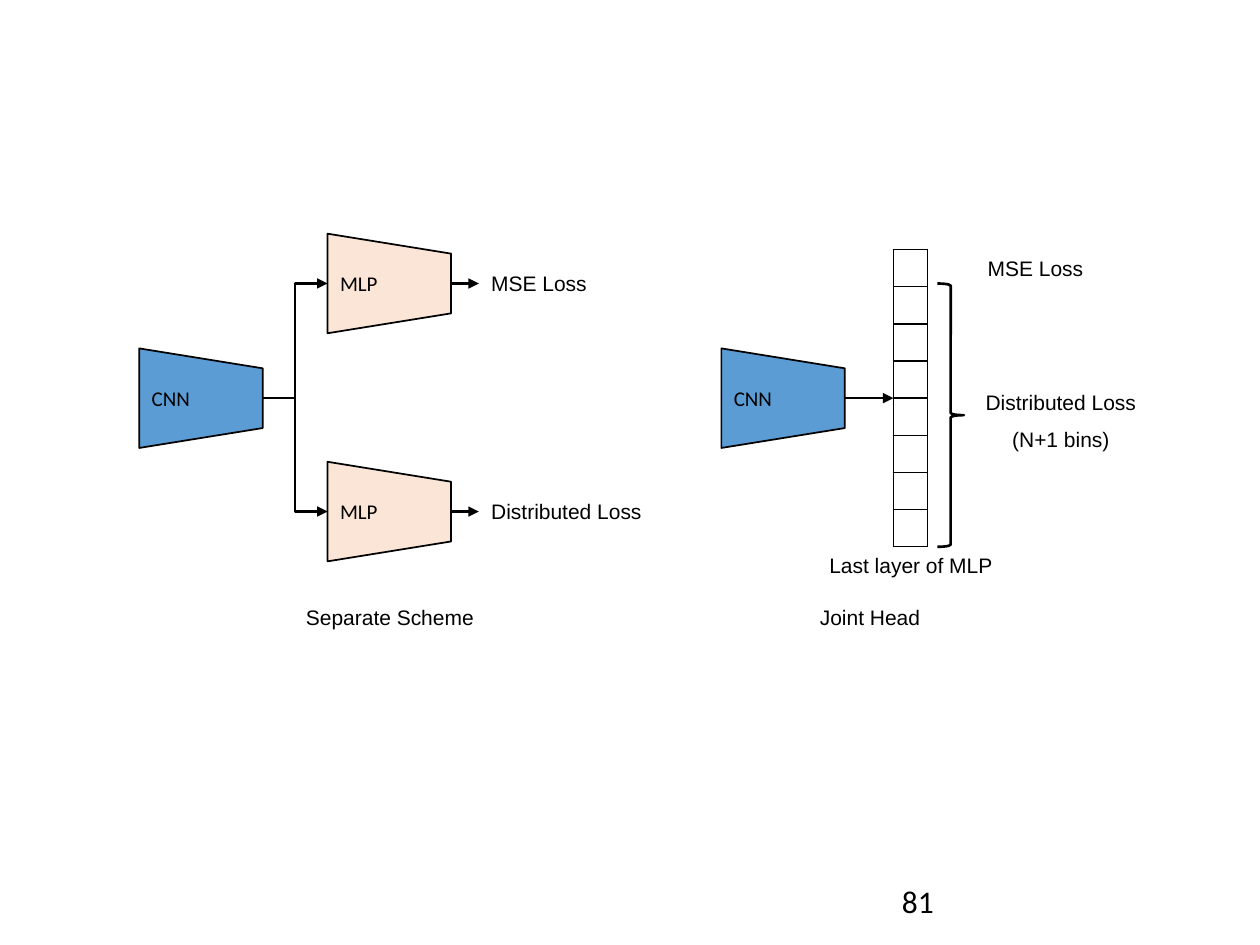
from lxml import etree
from pptx import Presentation
from pptx.dml.color import RGBColor
from pptx.enum.shapes import MSO_CONNECTOR, MSO_SHAPE
from pptx.enum.text import MSO_ANCHOR, MSO_AUTO_SIZE, PP_ALIGN
from pptx.oxml.ns import qn
from pptx.util import Inches, Pt

LEFT, CENTER = PP_ALIGN.LEFT, PP_ALIGN.CENTER
MIDDLE = MSO_ANCHOR.MIDDLE
FIT_TEXT = MSO_AUTO_SIZE.SHAPE_TO_FIT_TEXT
TRAPEZOID, BRACE = MSO_SHAPE.FLOWCHART_MANUAL_OPERATION, MSO_SHAPE.RIGHT_BRACE
STRAIGHT, ELBOW = MSO_CONNECTOR.STRAIGHT, MSO_CONNECTOR.ELBOW
COLORS = {"ink": "000000", "cnn": "5B9CD5", "mlp": "FBE5D6"}
INK = RGBColor.from_string(COLORS["ink"])

presentation = Presentation()
presentation.slide_width, presentation.slide_height = Inches(10), Inches(7.5)
slide = presentation.slides.add_slide(presentation.slide_layouts[6])

# The slide is a grid of 100 columns by 75 rows
COLUMN = presentation.slide_width / 100
ROW = presentation.slide_height / 75
UPPER, MIDLINE, LOWER = 22.5, 31.6, 40.6  # rows of the three flow lines
BLOCK_LENGTH, BLOCK_HEIGHT = 9.8, 7.9
CNN_LEFT, MLP_LEFT, JOINT_CNN_LEFT = 11.05, 26, 57.25
LABEL_WIDTH, LABEL_HEIGHT = 15.2, 3


def on_grid(*lengths):
    """Turn alternating columns and rows into whole slide units."""
    return [round(length * (ROW if i % 2 else COLUMN)) for i, length in enumerate(lengths)]


def write(frame, lines, size=12, font="Arial", align=LEFT, spacing=None):
    for i, line in enumerate(lines):
        paragraph = frame.paragraphs[0] if i == 0 else frame.add_paragraph()
        paragraph.alignment = align
        paragraph.line_spacing = spacing
        run = paragraph.add_run()
        run.text = line
        for name, value in {"size": Pt(size), "name": font}.items():
            setattr(run.font, name, value)
        run.font.color.rgb = INK


# Network blocks, turned so that the wide side faces left
for name, kind, left, middle in [
    ("MLP", "mlp", MLP_LEFT, UPPER),
    ("MLP", "mlp", MLP_LEFT, LOWER),
    ("CNN", "cnn", CNN_LEFT, MIDLINE),
    ("CNN", "cnn", JOINT_CNN_LEFT, MIDLINE),
]:
    block = slide.shapes.add_shape(TRAPEZOID, *on_grid(
        left + (BLOCK_LENGTH - BLOCK_HEIGHT) / 2, middle - BLOCK_LENGTH / 2,
        BLOCK_HEIGHT, BLOCK_LENGTH))
    block.rotation = 270
    block.shadow.inherit = False
    block.fill.solid()
    block.fill.fore_color.rgb = RGBColor.from_string(COLORS[kind])
    block.line.color.rgb = INK
    block.line.width = Pt(1)
    block.text_frame.vertical_anchor = MIDDLE
    block.text_frame._txBody.bodyPr.set("vert", "eaVert")
    write(block.text_frame, [name], font="Calibri", align=CENTER)

# Last layer of the joint head: one column of output cells
CELLS, CELL_WIDTH, CELL_HEIGHT = 8, 2.7, 2.95
LAYER_LEFT, LAYER_TOP = 70.9, 19.8
layer = slide.shapes.add_table(CELLS, 1, *on_grid(
    LAYER_LEFT, LAYER_TOP, CELL_WIDTH, CELLS * CELL_HEIGHT)).table
layer.first_row = layer.horz_banding = False
for row in layer.rows:
    cell = row.cells[0]
    for side in ("left", "right", "top", "bottom"):
        setattr(cell, f"margin_{side}", 0)
    properties = cell._tc.get_or_add_tcPr()
    for edge in ("lnL", "lnR", "lnT", "lnB"):
        border = etree.SubElement(properties, qn(f"a:{edge}"), w=str(Pt(1)))
        fill = etree.SubElement(border, qn("a:solidFill"))
        etree.SubElement(fill, qn("a:srgbClr"), val=COLORS["ink"])
    cell.fill.background()
    # Small type in the empty cells keeps the rows from growing
    etree.SubElement(cell.text_frame.paragraphs[0]._p, qn("a:endParaRPr"), sz="800")

# Brace over every cell but the first
brace = slide.shapes.add_shape(BRACE, *on_grid(74.4, UPPER, 2.1, 20.9))
brace.shadow.inherit = False
brace.fill.background()
brace.line.color.rgb = INK
brace.line.width = Pt(1.5)

# Arrows
CNN_RIGHT, MLP_RIGHT = CNN_LEFT + BLOCK_LENGTH, MLP_LEFT + BLOCK_LENGTH
LOSS_LEFT = 38
for kind, start_x, start_y, end_x, end_y in [
    (ELBOW, CNN_RIGHT, MIDLINE, MLP_LEFT, UPPER),
    (ELBOW, CNN_RIGHT, MIDLINE, MLP_LEFT, LOWER),
    (STRAIGHT, MLP_RIGHT, UPPER, LOSS_LEFT, UPPER),
    (STRAIGHT, MLP_RIGHT, LOWER, LOSS_LEFT, LOWER),
    (STRAIGHT, JOINT_CNN_LEFT + BLOCK_LENGTH, MIDLINE, LAYER_LEFT, MIDLINE),
]:
    arrow = slide.shapes.add_connector(kind, *on_grid(start_x, start_y, end_x, end_y))
    arrow.line.color.rgb = INK
    arrow.line.width = Pt(1.5)
    etree.SubElement(arrow.line._get_or_add_ln(), qn("a:tailEnd"), type="triangle")
    etree.SubElement(arrow._element.spPr, qn("a:effectLst"))

# Labels, captions and page number
for lines, left, top, width, height, text_format in [
    (["MSE Loss"], LOSS_LEFT, UPPER - LABEL_HEIGHT / 2, LABEL_WIDTH, LABEL_HEIGHT, {}),
    (["Distributed Loss"], LOSS_LEFT, LOWER - LABEL_HEIGHT / 2, LABEL_WIDTH, LABEL_HEIGHT, {}),
    (["MSE Loss"], 77.4, LAYER_TOP, LABEL_WIDTH, LABEL_HEIGHT, {}),
    (["Distributed Loss", "(N+1 bins)"], 76.6, 29.4, LABEL_WIDTH, 6.7,
     {"align": CENTER, "spacing": 1.5}),
    (["Last layer of MLP"], 64.7, 43.4, LABEL_WIDTH, LABEL_HEIGHT, {"align": CENTER}),
    (["Separate Scheme"], 21.5, 47.5, 18.9, LABEL_HEIGHT, {"align": CENTER}),
    (["Joint Head"], 59.6, 47.5, 18.9, LABEL_HEIGHT, {"align": CENTER}),
    (["81"], 70.6, 69.5, 22.5, 4, {"size": 18, "font": "Calibri"}),
]:
    label = slide.shapes.add_textbox(*on_grid(left, top, width, height))
    label.text_frame.word_wrap = True
    label.text_frame.auto_size = FIT_TEXT
    write(label.text_frame, lines, **text_format)

presentation.save("out.pptx")
